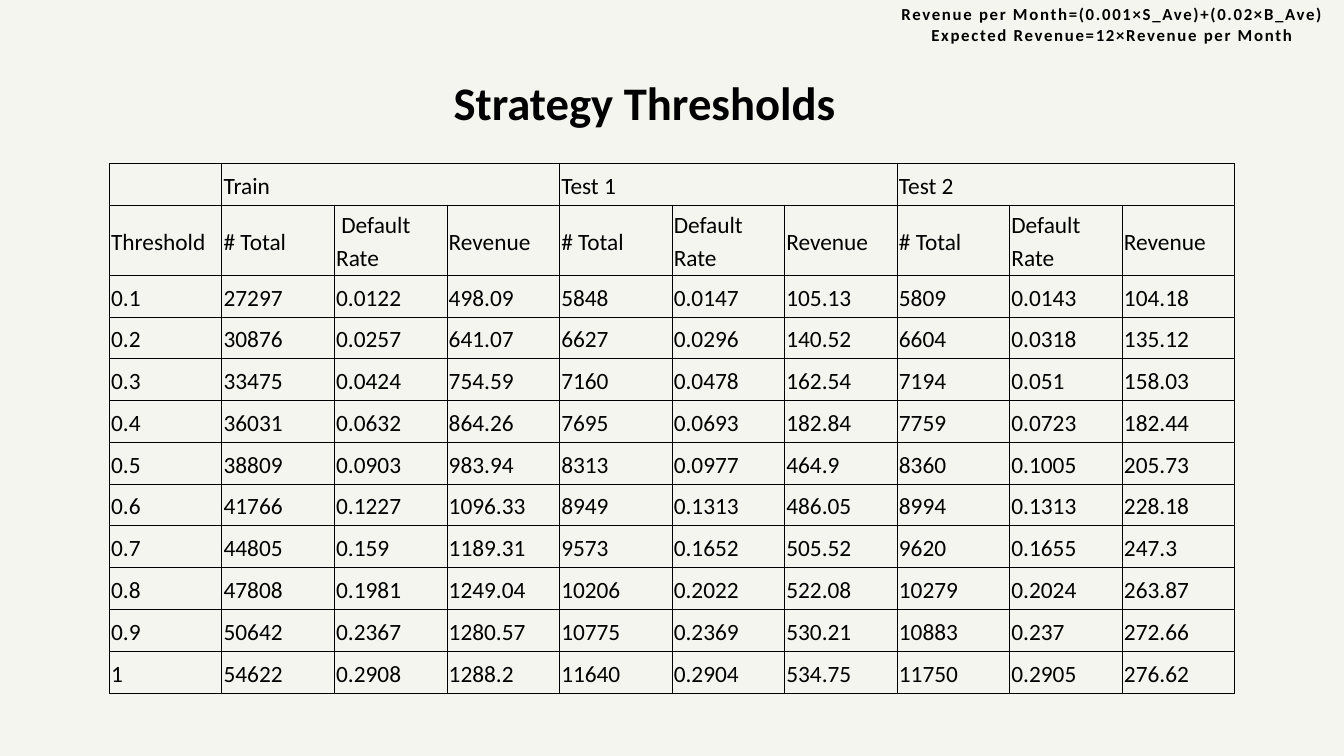
from lxml import etree
from pptx import Presentation
from pptx import util as u
from pptx.dml import color
from pptx.enum import text
from pptx.oxml import ns

FONT = "Calibri"
INK = "000000"
PAPER = "F5F5EF"
GROUPS = ["Train", "Test 1", "Test 2"]
HEADINGS = ["Threshold",
            "# Total", " Default Rate", "Revenue",
            "# Total", "Default Rate", "Revenue",
            "# Total", "Default Rate", "Revenue"]
RESULTS = """
0.1 27297 0.0122 498.09 5848 0.0147 105.13 5809 0.0143 104.18
0.2 30876 0.0257 641.07 6627 0.0296 140.52 6604 0.0318 135.12
0.3 33475 0.0424 754.59 7160 0.0478 162.54 7194 0.051 158.03
0.4 36031 0.0632 864.26 7695 0.0693 182.84 7759 0.0723 182.44
0.5 38809 0.0903 983.94 8313 0.0977 464.9 8360 0.1005 205.73
0.6 41766 0.1227 1096.33 8949 0.1313 486.05 8994 0.1313 228.18
0.7 44805 0.159 1189.31 9573 0.1652 505.52 9620 0.1655 247.3
0.8 47808 0.1981 1249.04 10206 0.2022 522.08 10279 0.2024 263.87
0.9 50642 0.2367 1280.57 10775 0.2369 530.21 10883 0.237 272.66
1 54622 0.2908 1288.2 11640 0.2904 534.75 11750 0.2905 276.62
"""


def rgb(value):
    return color.RGBColor.from_string(value)


def add_run(paragraph, words, size, leading, bold=False, spacing=None):
    paragraph.line_spacing = u.Pt(leading)
    run = paragraph.add_run()
    run.text = words
    run.font.name = FONT
    run.font.size = u.Pt(size)
    run.font.bold = bold
    run.font.color.rgb = rgb(INK)
    if spacing:
        run.font._element.set("spc", str(round(spacing * 100)))


def add_lines(slide, left, top, width, height, lines, size, leading,
              align=text.PP_ALIGN.LEFT, spacing=None):
    box = slide.shapes.add_textbox(u.Pt(left), u.Pt(top), u.Pt(width), u.Pt(height))
    frame = box.text_frame
    frame.word_wrap = True
    frame.auto_size = text.MSO_AUTO_SIZE.SHAPE_TO_FIT_TEXT
    frame.margin_left = frame.margin_top = frame.margin_right = frame.margin_bottom = 0
    for index, line in enumerate(lines):
        paragraph = frame.add_paragraph() if index else frame.paragraphs[0]
        paragraph.alignment = align
        add_run(paragraph, line, size, leading, True, spacing)


def style_cell(cell):
    cell.margin_left = cell.margin_top = cell.margin_right = cell.margin_bottom = u.Pt(2)
    cell.vertical_anchor = text.MSO_ANCHOR.MIDDLE
    cell.fill.background()
    properties = cell._tc.get_or_add_tcPr()
    for position, side in enumerate(["lnL", "lnR", "lnT", "lnB"]):
        border = etree.Element(ns.qn(f"a:{side}"), w=str(u.Pt(0.75)))
        fill = etree.SubElement(border, ns.qn("a:solidFill"))
        etree.SubElement(fill, ns.qn("a:srgbClr"), val=INK)
        properties.insert(position, border)


def add_threshold_table(slide, left, top, column_width, row_height, heading_height):
    group_row = [""] + [word for group in GROUPS for word in (group, "", "")]
    rows = [group_row, HEADINGS] + [line.split() for line in RESULTS.strip().splitlines()]
    columns = len(HEADINGS)
    height = row_height * (len(rows) - 1) + heading_height
    table = slide.shapes.add_table(len(rows), columns, u.Pt(left), u.Pt(top),
                                   u.Pt(column_width * columns), u.Pt(height)).table
    table.first_row = table.horz_banding = False
    for column in table.columns:
        column.width = u.Pt(column_width)
    for row in table.rows:
        row.height = u.Pt(row_height)
    table.rows[1].height = u.Pt(heading_height)

    for row, words in enumerate(rows):
        for column, word in enumerate(words):
            cell = table.cell(row, column)
            style_cell(cell)
            if word:
                add_run(cell.text_frame.paragraphs[0], word, 25, 35)
    for first in range(1, columns, 3):
        table.cell(0, first).merge(table.cell(0, first + 2))


def main():
    deck = Presentation()
    deck.slide_width, deck.slide_height = u.Pt(1440), u.Pt(810)
    slide = deck.slides.add_slide(deck.slide_layouts[6])
    slide.background.fill.solid()
    slide.background.fill.fore_color.rgb = rgb(PAPER)

    add_threshold_table(slide, 117, 175, 120.6, 44.77, 75)
    add_lines(slide, 486, 84, 467, 57, ["Strategy Thresholds"], 50, 55)
    add_lines(slide, 954, 4.5, 474.5, 42,
              ["Revenue per Month=(0.001×S_Ave)+(0.02×B_Ave)",
               "Expected Revenue=12×Revenue per Month"],
              18, 21.6, text.PP_ALIGN.CENTER, 1.8)
    deck.save("out.pptx")


if __name__ == "__main__":
    main()
